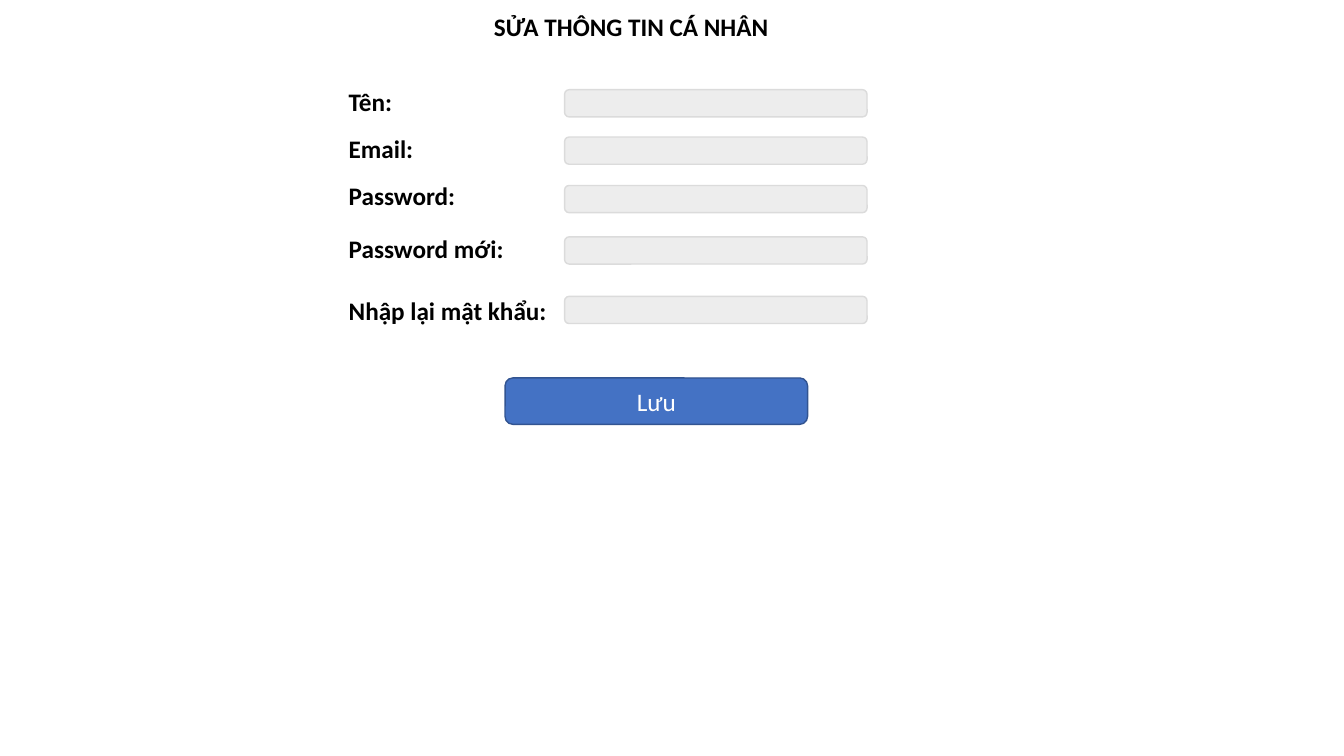
from pptx import Presentation
from pptx.dml.color import RGBColor
from pptx.enum.shapes import MSO_SHAPE
from pptx.enum.text import MSO_ANCHOR, MSO_AUTO_SIZE, PP_ALIGN
from pptx.util import Inches, Pt

BLACK = RGBColor(0x00, 0x00, 0x00)
WHITE = RGBColor(0xFF, 0xFF, 0xFF)
FIELD_FILL = RGBColor(0xED, 0xED, 0xED)
FIELD_LINE = RGBColor(0xDB, 0xDB, 0xDB)
BUTTON_FILL = RGBColor(0x44, 0x72, 0xC4)
BUTTON_LINE = RGBColor(0x32, 0x54, 0x91)

FORM_ROWS = [
    ("Tên:", 0.81, 0.89),
    ("Email:", 1.27, 1.36),
    ("Password:", 1.74, 1.84),
    ("Password mới:", 2.27, 2.35),
    ("Nhập lại mật khẩu:", 2.88, 2.94),
]


def write_text(shape, text, color, bold):
    paragraph = shape.text_frame.paragraphs[0]
    paragraph.text = text
    font = paragraph.runs[0].font
    font.name = "Calibri"
    font.size = Pt(18)
    font.bold = bold
    font.color.rgb = color
    return paragraph


def add_label(slide, text, left, top, width, wrap=True):
    box = slide.shapes.add_textbox(
        Inches(left), Inches(top), Inches(width), Inches(0.4))
    box.text_frame.word_wrap = wrap
    box.text_frame.auto_size = MSO_AUTO_SIZE.SHAPE_TO_FIT_TEXT
    write_text(box, text, BLACK, True)


def add_rounded_box(slide, left, top, height, fill, line):
    shape = slide.shapes.add_shape(
        MSO_SHAPE.ROUNDED_RECTANGLE,
        Inches(left), Inches(top), Inches(3), Inches(height))
    shape.shadow.inherit = False
    shape.fill.solid()
    shape.fill.fore_color.rgb = fill
    shape.line.color.rgb = line
    shape.line.width = Pt(1)
    return shape


def add_button(slide, text, left, top):
    button = add_rounded_box(slide, left, top, 0.46, BUTTON_FILL, BUTTON_LINE)
    button.text_frame.vertical_anchor = MSO_ANCHOR.MIDDLE
    paragraph = write_text(button, text, WHITE, False)
    paragraph.alignment = PP_ALIGN.CENTER


def main():
    deck = Presentation()
    deck.slide_width = Inches(13.33)
    deck.slide_height = Inches(7.5)
    slide = deck.slides.add_slide(deck.slide_layouts[6])

    add_label(slide, "SỬA THÔNG TIN CÁ NHÂN", 4.8, 0.06, 2.95, wrap=False)
    for text, label_top, field_top in FORM_ROWS:
        add_label(slide, text, 3.36, label_top, 3.31)
        add_rounded_box(slide, 5.6, field_top, 0.27, FIELD_FILL, FIELD_LINE)
    add_button(slide, "Lưu", 5.01, 3.75)

    deck.save("out.pptx")


if __name__ == "__main__":
    main()
